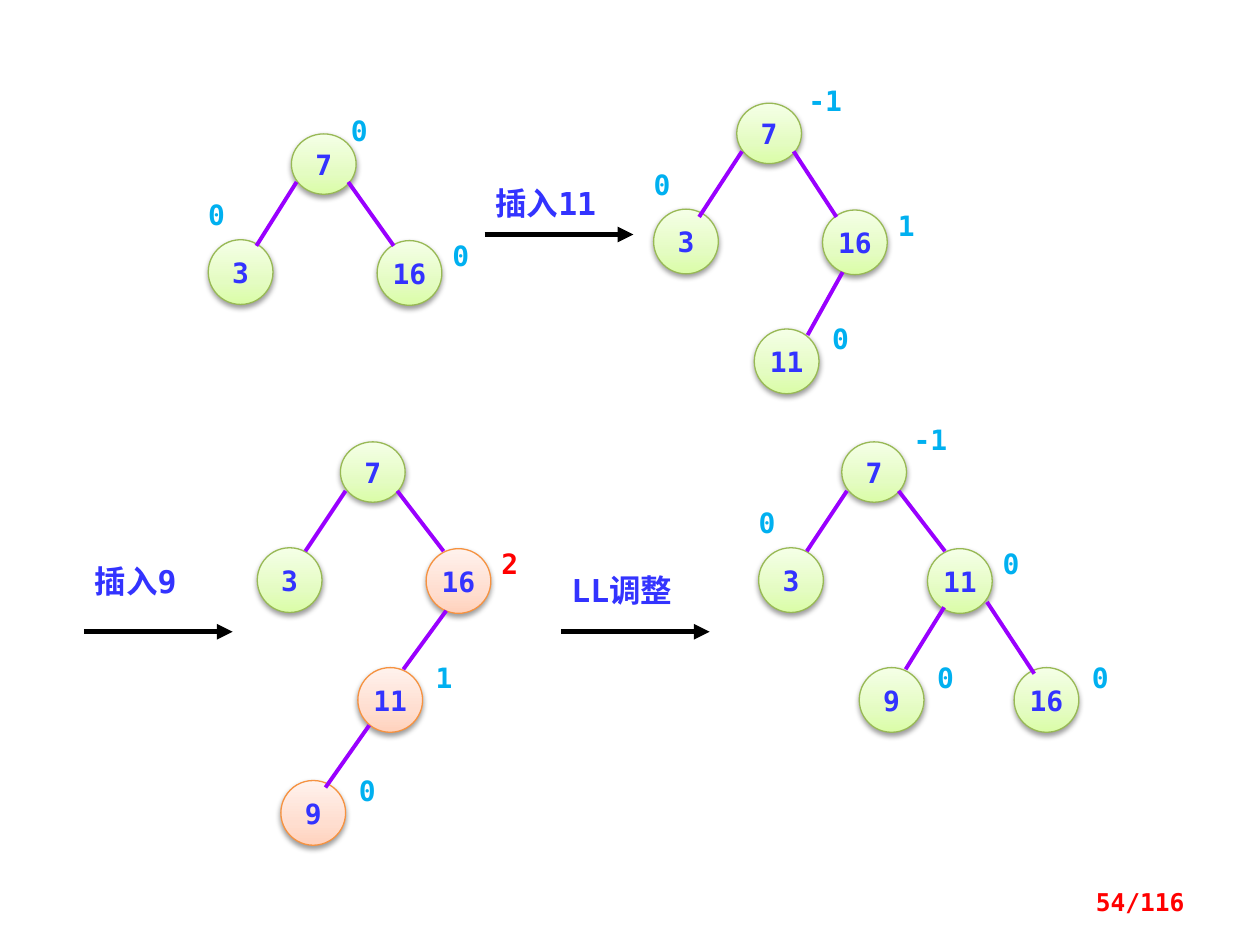
from copy import deepcopy
from lxml import etree
from pptx import Presentation
from pptx.dml.color import RGBColor
from pptx.enum.shapes import MSO_CONNECTOR, MSO_SHAPE
from pptx.enum.text import MSO_ANCHOR, PP_ALIGN
from pptx.oxml.ns import qn
from pptx.util import Pt

OVAL = MSO_SHAPE.OVAL
LINE = MSO_CONNECTOR.STRAIGHT
LEFT, MID, RIGHT = PP_ALIGN.LEFT, PP_ALIGN.CENTER, PP_ALIGN.RIGHT
TOP, CENTER = MSO_ANCHOR.TOP, MSO_ANCHOR.MIDDLE
FACE = "DejaVu Sans Mono"
BLUE, SKY, RED, VIOLET, BLACK = "3333FF", "00B0F0", "FF0000", "9900FF", "000000"
GREEN = ("98B955", ((0, "DAFDA7"), (0.35, "E4FCC2"), (1, "F5FFE7")))
PEACH = ("F69240", ((0, "FFD2BD"), (0.35, "FFDED0"), (1, "FFF2ED")))
SIDE = 37

SPOTS = {
    "root": (0, 0, 34.5),
    "left": (-47.5, 60.5, SIDE),
    "right": (49, 61, SIDE),
    "inner": (10, 129, SIDE),
    "outer": (98.5, 129, SIDE),
    "low": (-34, 193.5, SIDE),
}
TAGS = {
    "root": (41, -11),
    "left": (0, -24),
    "right": (43, -1),
    "inner": (44.5, -4),
    "outer": (44.5, -4),
    "low": (44.5, -4),
}

TREES = [
    (166.5, 76.5,
     [("root", "7", "", GREEN), ("left", "3", "0", GREEN), ("right", "16", "0", GREEN)],
     [(3, 27.5, -20, 64), (32.5, 27.5, 58.5, 64)]),
    (421, 59,
     [("root", "7", "-1", GREEN), ("left", "3", "0", GREEN), ("right", "16", "1", GREEN),
      ("inner", "11", "0", GREEN)],
     [(3, 27.5, -21.5, 65), (32.5, 27.5, 57, 65), (60.5, 96.5, 40.5, 132.5)]),
    (194.5, 252.5,
     [("root", "7", "", GREEN), ("left", "3", "", GREEN), ("right", "16", "2", PEACH),
      ("inner", "11", "1", PEACH), ("low", "9", "0", PEACH)],
     [(3, 28, -20, 62.5), (32.5, 28, 59, 62.5), (60.5, 96.5, 36, 130),
      (16.5, 162, -8.5, 197.5)]),
    (481, 252.5,
     [("root", "7", "-1", GREEN), ("left", "3", "0", GREEN), ("right", "11", "0", GREEN),
      ("inner", "9", "0", GREEN), ("outer", "16", "0", GREEN)],
     [(3, 28, -20, 62.5), (32.5, 28, 59, 62.5), (58.5, 94.5, 36.5, 130),
      (83, 91.5, 110, 132.5)]),
]
STEPS = [(277, 134, 29, "插入11"), (48, 361, 40, "插入9"), (320.5, 361, 35, "LL调整")]


def tint(code):
    return RGBColor.from_string(code)


def write(shape, text, size, color, align=LEFT, anchor=TOP, inset=0):
    frame = shape.text_frame
    look = {"word_wrap": True, "vertical_anchor": anchor}
    look.update({"margin_" + side: Pt(inset) for side in ("left", "right", "top", "bottom")})
    for name, value in look.items():
        setattr(frame, name, value)
    par = frame.paragraphs[0]
    par.text = text
    par.alignment = align
    for name, value in {"size": Pt(size), "name": FACE, "bold": True}.items():
        setattr(par.font, name, value)
    par.font.color.rgb = tint(color)


def label(slide, left, top, width, height, *form):
    box = slide.shapes.add_textbox(Pt(left), Pt(top), Pt(width), Pt(height))
    write(box, *form)


def stroke(slide, ends, color, width):
    line = slide.shapes.add_connector(LINE, *map(Pt, ends))
    line.line.color.rgb = tint(color)
    line.line.width = Pt(width)
    etree.SubElement(line._element.spPr, qn("a:effectLst"))
    return line


def shade(shape):
    shape.shadow.inherit = False
    effects = shape._element.spPr.find(qn("a:effectLst"))
    outer = etree.SubElement(effects, qn("a:outerShdw"), blurRad=str(Pt(3.1)),
                             dist=str(Pt(1.6)), dir="5400000", rotWithShape="0")
    color = etree.SubElement(outer, qn("a:srgbClr"), val=BLACK)
    etree.SubElement(color, qn("a:alpha"), val="38000")


def node(slide, left, top, height, text, style):
    edge, ramp = style
    oval = slide.shapes.add_shape(OVAL, Pt(left), Pt(top), Pt(SIDE), Pt(height))
    oval.line.color.rgb = tint(edge)
    oval.line.width = Pt(0.75)
    oval.fill.gradient()
    oval.fill.gradient_angle = 90
    stops = oval._element.spPr.find(".//" + qn("a:gsLst"))
    stops.append(deepcopy(stops[0]))
    for stop, (place, color) in zip(oval.fill.gradient_stops, ramp):
        stop.position = place
        stop.color.rgb = tint(color)
    shade(oval)
    write(oval, text, 16, BLUE, MID, CENTER)


def tree(slide, left, top, nodes, edges):
    for spot, key, tag, style in nodes:
        x, y, height = SPOTS[spot]
        node(slide, left + x, top + y, height, key, style)
        if tag:
            right, down = TAGS[spot]
            color = RED if tag == "2" else SKY
            label(slide, left + x + right, top + y + down, 24, 24, tag, 16, color)
    for x1, y1, x2, y2 in edges:
        stroke(slide, (left + x1, top + y1, left + x2, top + y2), VIOLET, 2.25)


def step(slide, left, top, rise, text):
    line = stroke(slide, (left, top, left + 85, top), BLACK, 3)
    etree.SubElement(line.line._get_or_add_ln(), qn("a:tailEnd"), type="triangle")
    label(slide, left + 6, top - rise, 73.5, 24, text, 18, BLUE)


def main():
    deck = Presentation()
    deck.slide_width, deck.slide_height = Pt(720), Pt(540)
    slide = deck.slides.add_slide(deck.slide_layouts[6])
    for part in TREES:
        tree(slide, *part)
    label(slide, 200.5, 65, 17.5, 19.5, "0", 16, SKY)
    for part in STEPS:
        step(slide, *part)
    label(slide, 516, 500.5, 168, 29, "54/116", 14, RED, RIGHT, CENTER, 7.2)
    deck.save("out.pptx")


if __name__ == "__main__":
    main()
